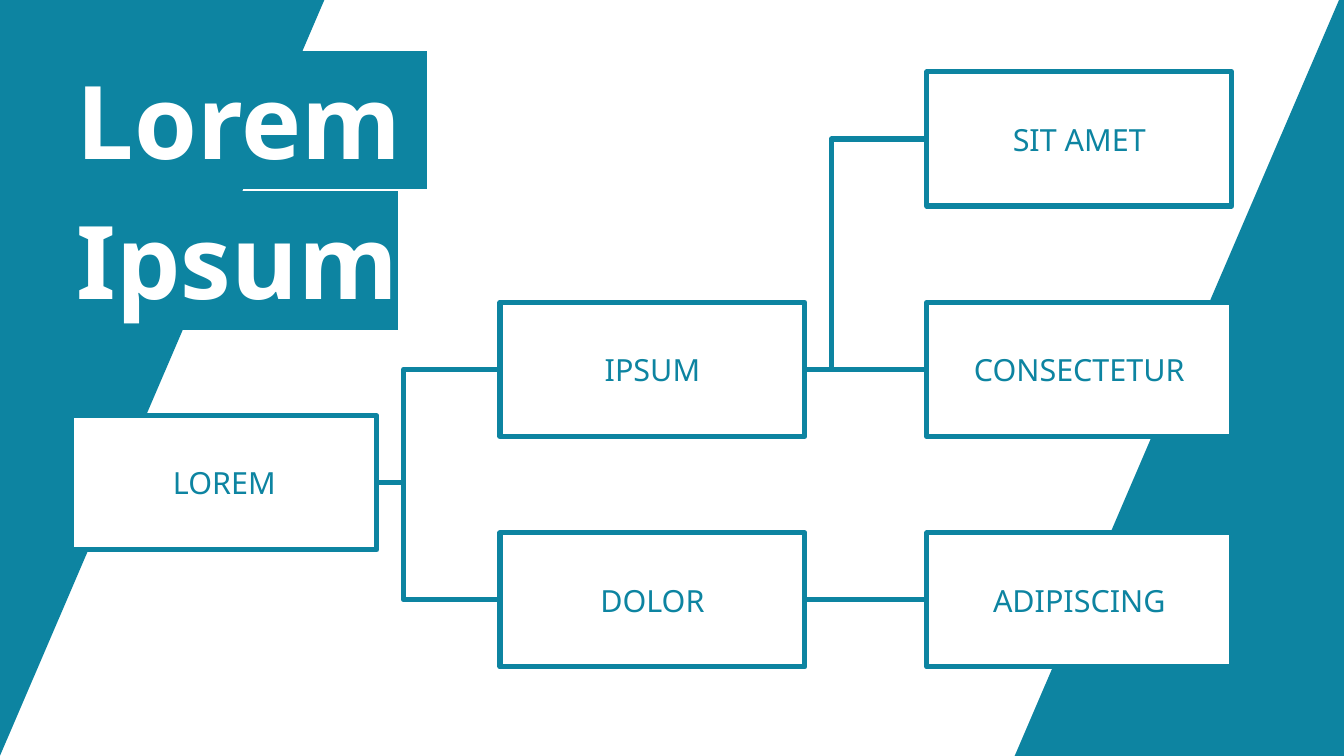
import pptx
import pptx.util
import pptx.dml.color
import pptx.enum.shapes
import pptx.enum.text
import pptx.oxml.ns
from lxml import etree

Inches = pptx.util.Inches
Pt = pptx.util.Pt
RGBColor = pptx.dml.color.RGBColor
ANCHOR = pptx.enum.text.MSO_ANCHOR
ALIGN = pptx.enum.text.PP_ALIGN
qn = pptx.oxml.ns.qn

TEAL = RGBColor(0x0D, 0x84, 0xA1)
WHITE = RGBColor(0xFF, 0xFF, 0xFF)
WIDTH, HEIGHT = 11.02, 6.2
BOX_WIDTH, BOX_HEIGHT = 2.5, 1.1
ELBOW = 21700
RIGHT_SIDE, LEFT_SIDE = 3, 1


def apply(target, formats):
    for name, value in formats.items():
        setattr(target, name, value)


class TreeSlide:
    label_font = {"name": "Noto Sans", "size": Pt(18)}
    title_font = {"name": "Noto Sans", "size": Pt(60), "bold": True}
    label_frame = {
        "vertical_anchor": ANCHOR.MIDDLE, "word_wrap": False,
        "margin_left": Inches(0.12), "margin_right": Inches(0.12),
        "margin_top": Inches(0.07), "margin_bottom": Inches(0.07),
    }
    title_frame = {
        "vertical_anchor": ANCHOR.MIDDLE, "word_wrap": True,
        "auto_size": pptx.enum.text.MSO_AUTO_SIZE.SHAPE_TO_FIT_TEXT,
        "margin_left": 0, "margin_right": 0, "margin_top": 0, "margin_bottom": 0,
    }

    def __init__(self, slide):
        self.slide = slide
        self.shapes = slide.shapes

    def background(self):
        fill = self.slide.background.fill
        fill.solid()
        fill.fore_color.rgb = WHITE

    def outline(self, line):
        line.color.rgb = TEAL
        line.width = Pt(3)

    def panel(self, corners):
        points = [(Inches(x), Inches(y)) for x, y in corners]
        builder = self.shapes.build_freeform(*points[0])
        builder.add_line_segments(points[1:], close=True)
        panel = builder.convert_to_shape()
        panel.shadow.inherit = False
        panel.fill.solid()
        panel.fill.fore_color.rgb = TEAL
        panel.line.fill.background()

    def box(self, label, left, top):
        box = self.shapes.add_shape(
            pptx.enum.shapes.MSO_SHAPE.RECTANGLE,
            Inches(left), Inches(top), Inches(BOX_WIDTH), Inches(BOX_HEIGHT))
        box.shadow.inherit = False
        box.fill.solid()
        box.fill.fore_color.rgb = WHITE
        self.outline(box.line)
        apply(box.text_frame, self.label_frame)
        paragraph = box.text_frame.paragraphs[0]
        paragraph.alignment = ALIGN.CENTER
        run = paragraph.add_run()
        run.text = label
        apply(run.font, self.label_font)
        run.font.color.rgb = TEAL
        return box

    def branch(self, parent, child):
        branch = self.shapes.add_connector(
            pptx.enum.shapes.MSO_CONNECTOR.ELBOW, 0, 0, 0, 0)
        branch.begin_connect(parent, RIGHT_SIDE)
        branch.end_connect(child, LEFT_SIDE)
        self.outline(branch.line)
        properties = branch._element.spPr
        etree.SubElement(properties, qn("a:effectLst"))
        adjustments = properties.find(qn("a:prstGeom")).get_or_add_avLst()
        etree.SubElement(adjustments, qn("a:gd"), name="adj1", fmla=f"val {ELBOW}")

    def title(self, lines, left, top, width, height):
        title = self.shapes.add_textbox(
            Inches(left), Inches(top), Inches(width), Inches(height))
        apply(title.text_frame, self.title_frame)
        paragraph = title.text_frame.paragraphs[0]
        paragraph.line_spacing = 1.15
        paragraph.text = "\v".join(lines)
        for run in paragraph.runs:
            apply(run.font, self.title_font)
            run.font.color.rgb = WHITE
            highlight = etree.Element(qn("a:highlight"))
            etree.SubElement(highlight, qn("a:srgbClr"), val=str(TEAL))
            run.font._element.find(qn("a:solidFill")).addnext(highlight)


def main():
    presentation = pptx.Presentation()
    presentation.slide_width = Inches(WIDTH)
    presentation.slide_height = Inches(HEIGHT)
    tree = TreeSlide(presentation.slides.add_slide(presentation.slide_layouts[6]))
    tree.background()

    right_panel = [(10.98, 0), (WIDTH, 0), (WIDTH, HEIGHT), (8.32, HEIGHT)]
    left_panel = [(10.98 - x, HEIGHT - y) for x, y in right_panel]
    tree.panel(right_panel)
    tree.panel(left_panel)

    columns = (0.59, 4.1, 7.6)
    rows = [0.59 + 1.89 * row for row in range(3)]
    nodes = {
        "LOREM": (columns[0], 3.41),
        "IPSUM": (columns[1], rows[1]),
        "DOLOR": (columns[1], rows[2]),
        "SIT AMET": (columns[2], rows[0]),
        "CONSECTETUR": (columns[2], rows[1]),
        "ADIPISCING": (columns[2], rows[2]),
    }
    boxes = {label: tree.box(label, *place) for label, place in nodes.items()}

    children = {
        "LOREM": ("IPSUM", "DOLOR"),
        "IPSUM": ("SIT AMET", "CONSECTETUR"),
        "DOLOR": ("ADIPISCING",),
    }
    for parent, labels in children.items():
        for label in labels:
            tree.branch(boxes[parent], boxes[label])

    tree.title(("Lorem ", "Ipsum"), 0.63, 0.17, 5.35, 2.61)
    presentation.save("out.pptx")


if __name__ == "__main__":
    main()
